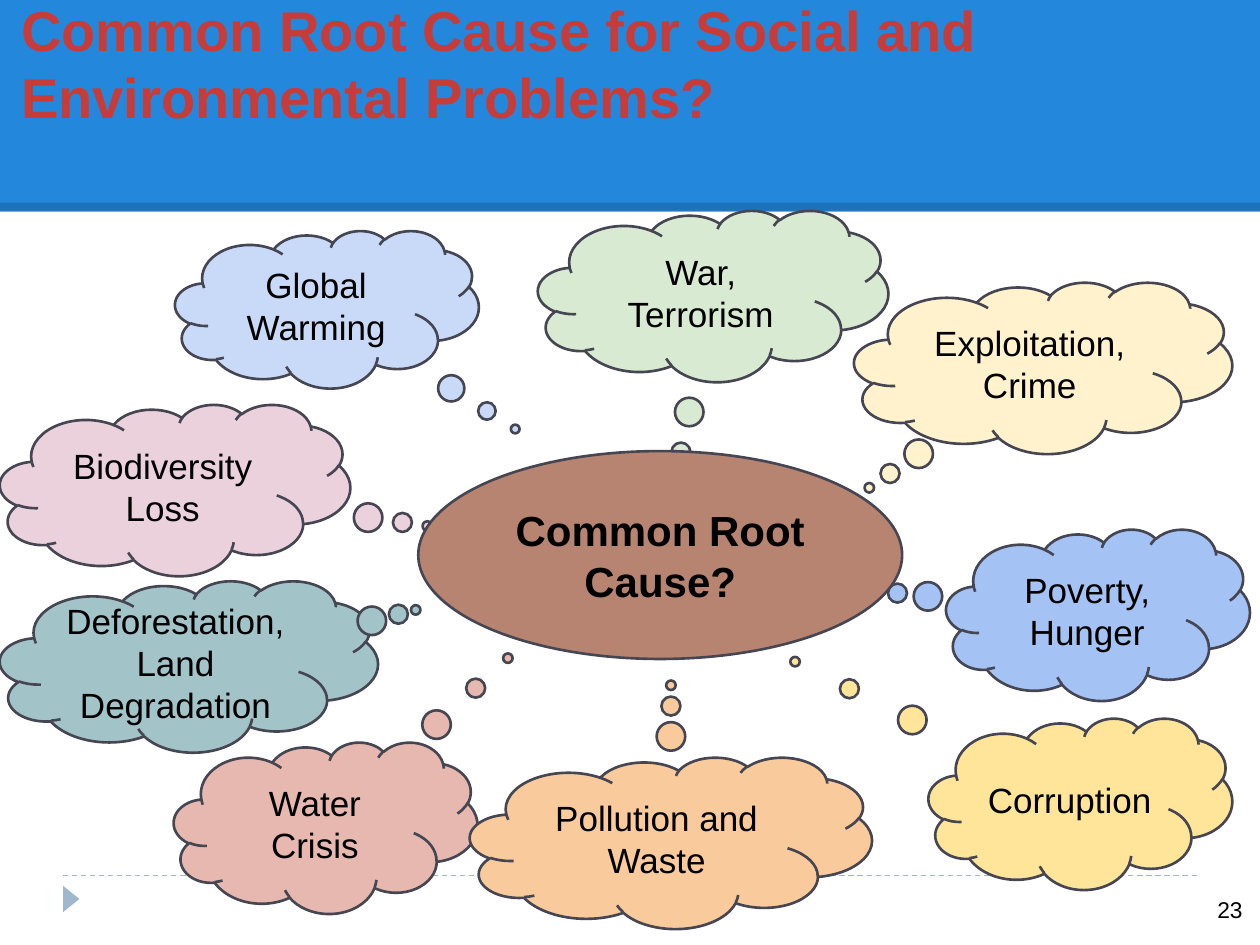
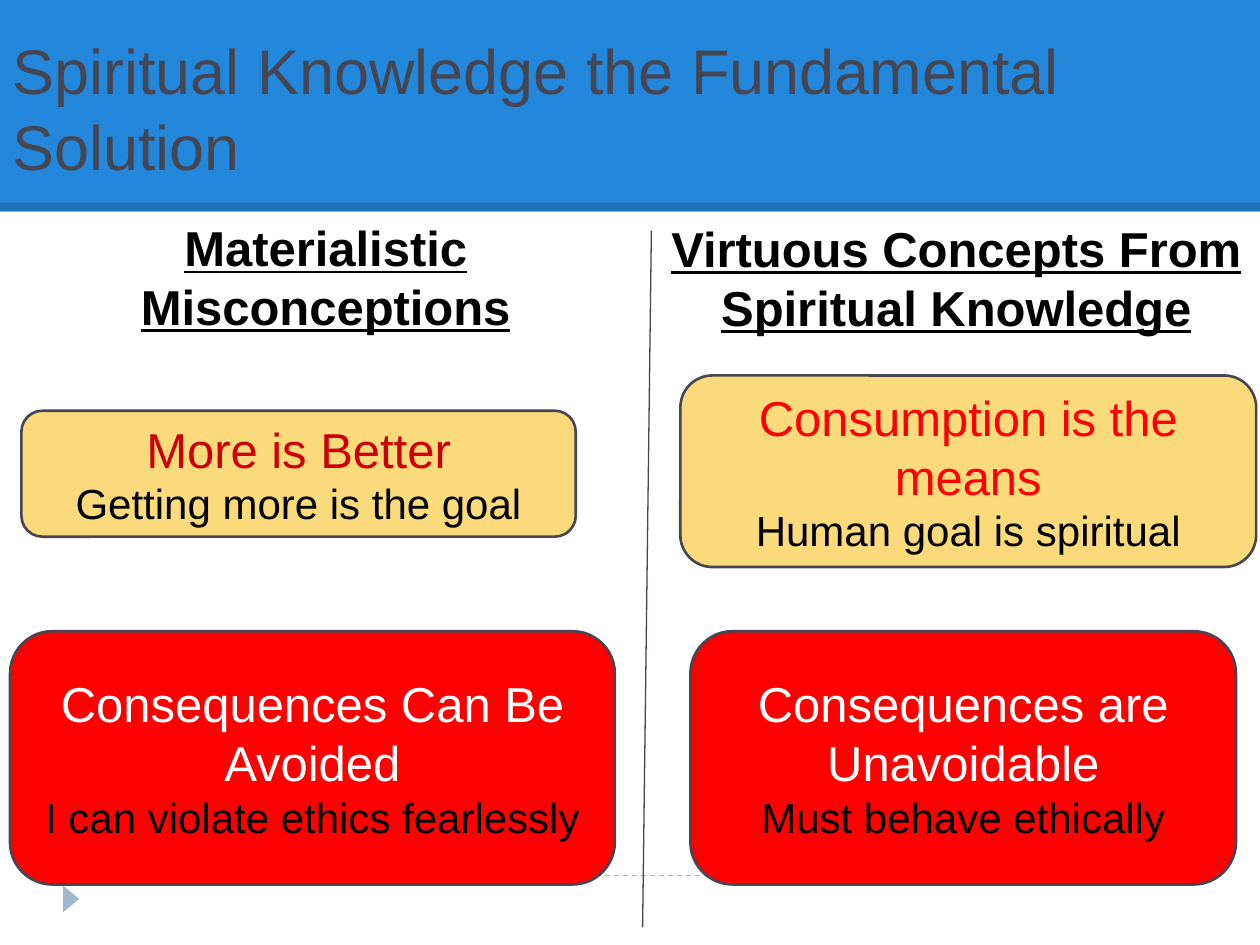
"""Builds two slides on root causes and spiritual knowledge."""
import lxml.etree
import pptx
import pptx.util
import pptx.dml.color
import pptx.enum.dml
import pptx.enum.shapes
import pptx.enum.text
import pptx.oxml.ns

HUES = {
    "band": "2388DB", "edge": "000000", "foot": "9FB8CD", "line": "464653",
    "title": "C73C39", "text": "000000", "pale": "FFFFFF", "dark": "CC0000",
    "red": "FF0000", "gold": "FADA7A", "root": "B88472", "mint": "D9EAD3",
    "pink": "EAD1DC", "cream": "FFF2CC", "corn": "FFE599", "sky": "C9DAF8",
    "rose": "E6B8AF", "blue": "A4C2F4", "teal": "A2C4C9", "peach": "F9CB9C",
}
FONT = "Arial"
COLS, ROWS = 100, 75
TALL = 13.6
SLIM, MID, WIDE = 24.1, 27.8, 30

CLOUDS = [
    ("War, Terrorism", "mint", (42.7, 16.7, MID, TALL), (-0.11, 1.09)),
    ("Biodiversity Loss", "pink", (0, 32.1, MID, TALL), (0.72, 0.21)),
    ("Exploitation, Crime", "cream", (67.8, 22.4, WIDE, TALL), (-0.46, 0.7)),
    ("Corruption", "corn", (73.7, 57, SLIM, TALL), (-0.94, -0.83)),
    ("Global Warming", "sky", (13.9, 18.3, SLIM, 12.5), (0.62, 0.76)),
    ("Water Crisis", "rose", (13.8, 58.9, SLIM, TALL), (0.6, -0.99)),
    ("Poverty, Hunger", "blue", (75.1, 42, SLIM, TALL), (-0.73, -0.14)),
    ("Deforestation, Land Degradation", "teal", (0, 46.1, WIDE, TALL),
     (0.6, -0.33)),
    ("Pollution and Waste", "peach", (37.3, 60.1, 31.9, TALL), (0, -0.92)),
]
HEADS = [
    ("Materialistic Misconceptions", (0, 17.8, 51.7, 8.3)),
    ("Virtuous Concepts From Spiritual Knowledge", (51.9, 17, 48, 10)),
]
CARDS = [
    ("More is Better", "Getting more is the goal",
     "gold", "dark", (1.7, 32.6, 44, 10)),
    ("Consumption is the means", "Human goal is spiritual",
     "gold", "red", (54, 29.8, 45.7, 15.2)),
    ("Consequences Can Be Avoided", "I can violate ethics fearlessly",
     "red", "pale", (0.8, 50.1, 48, 20.1)),
    ("Consequences are Unavoidable", "Must behave ethically",
     "red", "pale", (54.8, 50.1, 43.3, 20.1)),
]

KIND = pptx.enum.shapes.MSO_SHAPE
SIDE = pptx.enum.text.PP_ALIGN
HOLD = pptx.enum.text.MSO_ANCHOR
deck = pptx.Presentation()
deck.slide_width = pptx.util.Inches(10)
deck.slide_height = pptx.util.Inches(7.5)


def hue(name):
    return pptx.dml.color.RGBColor.from_string(HUES[name])


def place(x, y, *size):
    wide, tall = deck.slide_width / COLS, deck.slide_height / ROWS
    return [int(n * (tall if i % 2 else wide))
            for i, n in enumerate((x, y, *size))]


def write(shape, text, size=20, color="text", bold=False, under=False,
          side=SIDE.CENTER, hold=HOLD.MIDDLE, more=False):
    frame = shape.text_frame
    frame.word_wrap = True
    frame.vertical_anchor = hold
    frame.margin_left = frame.margin_right = pptx.util.Inches(0.1)
    frame.margin_top = frame.margin_bottom = pptx.util.Inches(0.1)
    para = frame.add_paragraph() if more else frame.paragraphs[0]
    para.alignment = side
    run = para.add_run()
    run.text = text
    font = run.font
    font.name, font.size = FONT, pptx.util.Pt(size)
    font.bold, font.underline = bold, under
    font.color.rgb = hue(color)


def box(slide, kind, at, fill, edge=True):
    shape = slide.shapes.add_shape(kind, *place(*at))
    shape.shadow.inherit = False
    shape.fill.solid()
    shape.fill.fore_color.rgb = hue(fill)
    if edge:
        shape.line.color.rgb = hue("line")
        shape.line.width = pptx.util.Pt(1.5)
    else:
        shape.line.fill.background()
    return shape


def label(slide, text, at, **form):
    write(slide.shapes.add_textbox(*place(*at)), text, **form)


def rule(slide, ends, color, width):
    line = slide.shapes.add_connector(
        pptx.enum.shapes.MSO_CONNECTOR.STRAIGHT, *place(*ends))
    line.line.color.rgb = hue(color)
    line.line.width = pptx.util.Pt(width)
    lxml.etree.SubElement(line.element.spPr,
                          pptx.oxml.ns.qn("a:effectLst"))
    return line


def page(title, at, **form):
    slide = deck.slides.add_slide(deck.slide_layouts[6])
    foot = rule(slide, (5, 69.5, 95, 69.5), "foot", 0.75)
    foot.line.dash_style = pptx.enum.dml.MSO_LINE.DASH
    mark = box(slide, KIND.ISOSCELES_TRIANGLE, (4.6, 70.7, 2.1, 1.3),
               "foot", edge=False)
    mark.rotation = 90
    box(slide, KIND.RECTANGLE, (0, 0, COLS, 16.8), "band", edge=False)
    edge = rule(slide, (0, 16.4, COLS, 16.4), "edge", 4.5)
    tint = next(edge.element.spPr.iter(pptx.oxml.ns.qn("a:srgbClr")))
    lxml.etree.SubElement(tint, pptx.oxml.ns.qn("a:alpha"), val="15000")
    label(slide, title, at, side=SIDE.LEFT, hold=HOLD.BOTTOM, **form)
    return slide


def causes():
    slide = page("Common Root Cause for Social and Environmental Problems?",
                 (0.7, 2.3, 97.6, 9), size=32, color="title", bold=True)
    for text, fill, at, tail in CLOUDS:
        cloud = box(slide, KIND.CLOUD_CALLOUT, at, fill)
        for i, share in enumerate(tail):
            cloud.adjustments[i] = share
        write(cloud, text)
    root = box(slide, KIND.OVAL, (33.2, 35.8, 38.4, 16.5), "root")
    write(root, "Common Root Cause?", size=24, bold=True)
    label(slide, "23", (93.6, 69.3, 6, 5.7), size=13, side=SIDE.RIGHT)


def answers():
    slide = page("Spiritual Knowledge the Fundamental Solution",
                 (0, 3, 98.5, 12.5), size=36, color="line")
    for head, note, fill, color, at in CARDS:
        card = box(slide, KIND.ROUNDED_RECTANGLE, at, fill)
        write(card, head, size=28, color=color)
        write(card, note, size=24, more=True)
    for text, at in HEADS:
        label(slide, text, at, size=28, bold=True, under=True)
    rule(slide, (51.7, 18.3, 51, 73.6), "line", 0.75)


if __name__ == "__main__":
    causes()
    answers()
    deck.save("out.pptx")
